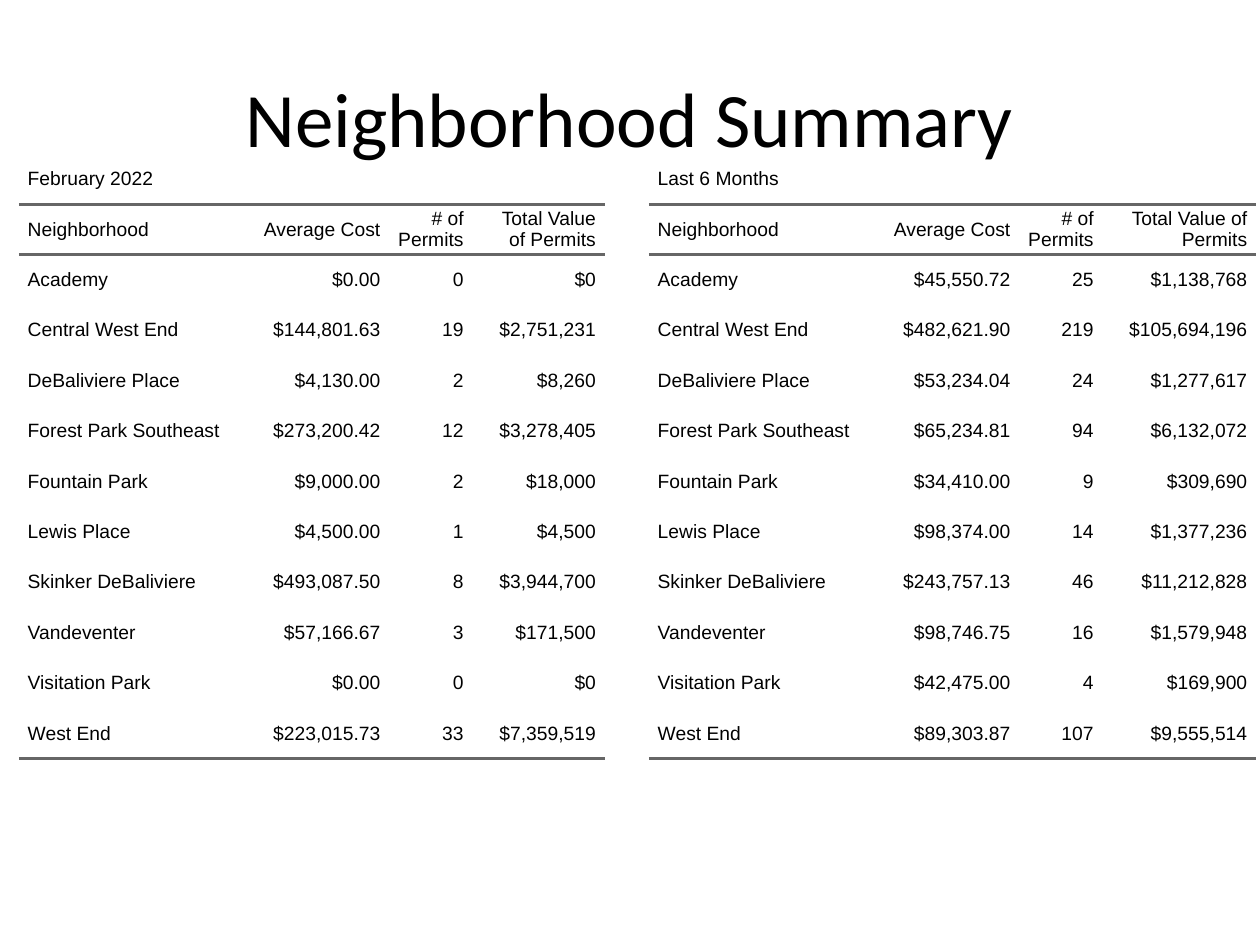
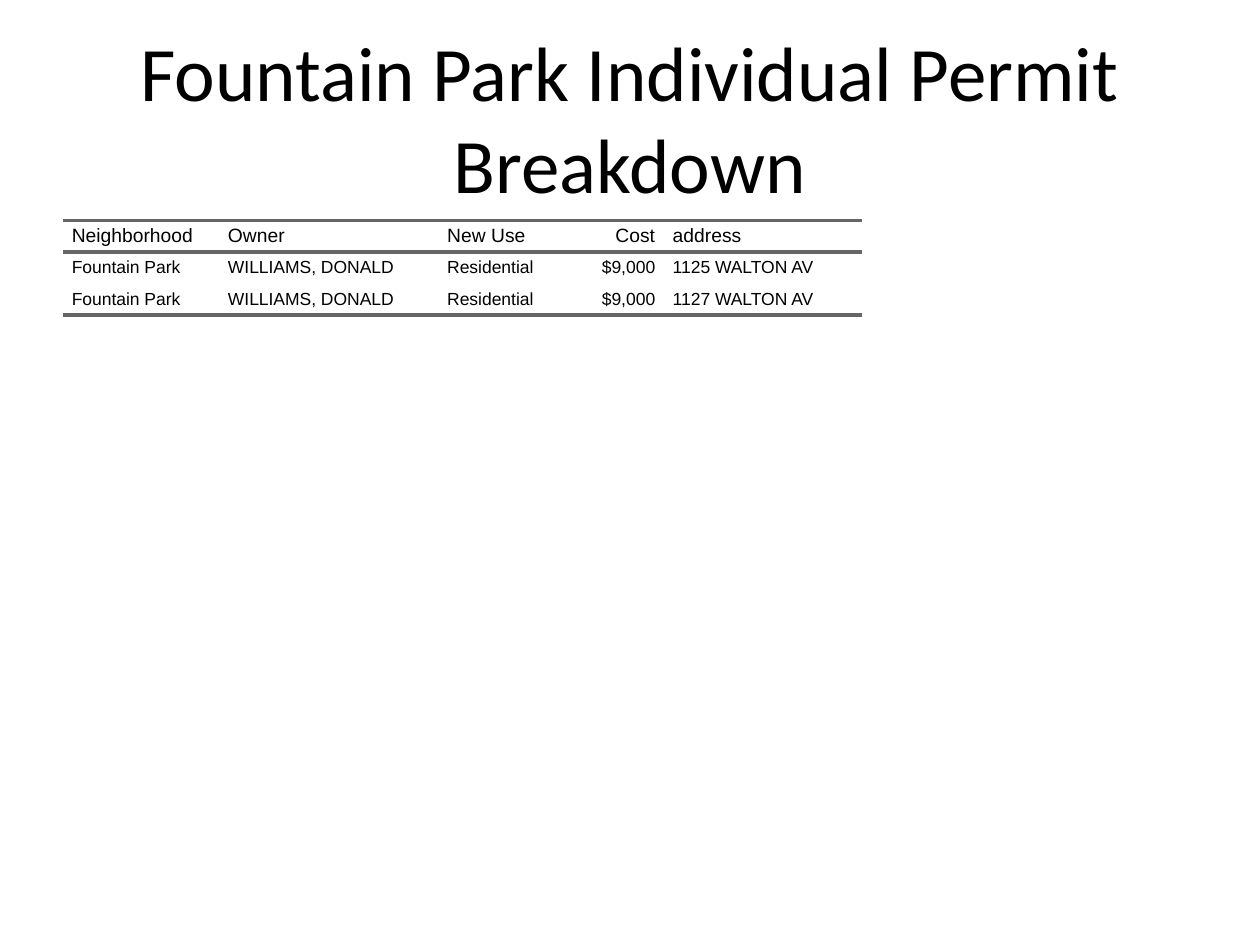
from lxml.etree import SubElement
from pptx import Presentation
from pptx.dml.color import RGBColor
from pptx.enum.text import MSO_ANCHOR, PP_ALIGN
from pptx.oxml.ns import qn
from pptx.util import Pt

PX = 9144  # EMU per px, 100 px to the inch
BLACK, RULE_COLOR = "000000", "666666"
TITLE_FONT, TABLE_FONT = "Calibri", "Arial"
RULE_WIDTH = Pt(2)
CELL_INSET = 7
PLAIN_TABLE_STYLE = "{2D5ABB26-0587-4C30-8999-92F81FD0307C}"


def format_paragraph(paragraph, font_name, size, alignment):
    paragraph.alignment = alignment
    for run in paragraph.runs:
        run.font.name = font_name
        run.font.size = Pt(size)
        run.font.color.rgb = RGBColor.from_string(BLACK)


def add_ruled_table(slide, left, top, widths, row_height, rows, header_row, body_size):
    """Add a table with rules around the header row and below the last row."""
    frame = slide.shapes.add_table(len(rows), len(widths), left * PX, top * PX,
                                   sum(widths) * PX, len(rows) * row_height * PX)
    table = frame.table
    table.first_row = table.horz_banding = False
    table._tbl.tblPr.find(qn("a:tableStyleId")).text = PLAIN_TABLE_STYLE
    for column, width in zip(table.columns, widths):
        column.width = width * PX
    for row_index, values in enumerate(rows):
        table.rows[row_index].height = row_height * PX
        rules = {header_row: ("a:lnT", "a:lnB"), len(rows) - 1: ("a:lnB",)}.get(row_index, ())
        for column_index, value in enumerate(values):
            cell = table.cell(row_index, column_index)
            cell.text_frame.text = value
            cell.vertical_anchor = MSO_ANCHOR.MIDDLE
            cell.margin_left = cell.margin_right = CELL_INSET * PX
            cell.margin_top = cell.margin_bottom = 0
            # Numeric columns are right aligned, header included
            is_numeric = rows[-1][column_index][0] == "$" or rows[-1][column_index].isdigit()
            format_paragraph(cell.text_frame.paragraphs[0], TABLE_FONT,
                             11 if row_index <= header_row else body_size,
                             PP_ALIGN.RIGHT if is_numeric and row_index >= header_row
                             else PP_ALIGN.LEFT)
            for rule in rules:
                line = SubElement(cell._tc.get_or_add_tcPr(), qn(rule), w=str(RULE_WIDTH))
                fill = SubElement(line, qn("a:solidFill"))
                SubElement(fill, qn("a:srgbClr"), val=RULE_COLOR)
            cell.fill.background()
    return table


presentation = Presentation()
presentation.slide_width = 1000 * PX
presentation.slide_height = 750 * PX

# Slides with their shared title style
slides = []
for title in ("Neighborhood Summary", "Fountain Park Individual Permit Breakdown"):
    slide = presentation.slides.add_slide(presentation.slide_layouts[6])
    title_box = slide.shapes.add_textbox(50 * PX, 30 * PX, 900 * PX, 125 * PX)
    text_frame = title_box.text_frame
    text_frame.word_wrap = True
    text_frame.vertical_anchor = MSO_ANCHOR.MIDDLE
    text_frame.text = title
    format_paragraph(text_frame.paragraphs[0], TITLE_FONT, 44, PP_ALIGN.CENTER)
    slides.append(slide)
summary_slide, breakdown_slide = slides

# Neighborhood summary: one table per period
neighborhoods = ["Academy", "Central West End", "DeBaliviere Place", "Forest Park Southeast",
                 "Fountain Park", "Lewis Place", "Skinker DeBaliviere", "Vandeventer",
                 "Visitation Park", "West End"]
summary_header = ("Neighborhood", "Average Cost", "# of Permits", "Total Value of Permits")
february = [
    ("$0.00", "0", "$0"),
    ("$144,801.63", "19", "$2,751,231"),
    ("$4,130.00", "2", "$8,260"),
    ("$273,200.42", "12", "$3,278,405"),
    ("$9,000.00", "2", "$18,000"),
    ("$4,500.00", "1", "$4,500"),
    ("$493,087.50", "8", "$3,944,700"),
    ("$57,166.67", "3", "$171,500"),
    ("$0.00", "0", "$0"),
    ("$223,015.73", "33", "$7,359,519"),
]
last_six_months = [
    ("$45,550.72", "25", "$1,138,768"),
    ("$482,621.90", "219", "$105,694,196"),
    ("$53,234.04", "24", "$1,277,617"),
    ("$65,234.81", "94", "$6,132,072"),
    ("$34,410.00", "9", "$309,690"),
    ("$98,374.00", "14", "$1,377,236"),
    ("$243,757.13", "46", "$11,212,828"),
    ("$98,746.75", "16", "$1,579,948"),
    ("$42,475.00", "4", "$169,900"),
    ("$89,303.87", "107", "$9,555,514"),
]
for period, left, value_width, figures in (("February 2022", 15, 105, february),
                                           ("Last 6 Months", 515, 122, last_six_months)):
    rows = [(period,), summary_header]
    rows += [(name, *values) for name, values in zip(neighborhoods, figures)]
    table = add_ruled_table(summary_slide, left, 122, (181, 113, 66, value_width), 40,
                            rows, header_row=1, body_size=11)
    table.cell(0, 0).merge(table.cell(0, 3))

# Fountain Park permits
permits = [("Neighborhood", "Owner", "New Use", "Cost", "address")]
permits += [("Fountain Park", "WILLIAMS, DONALD", "Residential", "$9,000", address)
            for address in ("1125 WALTON AV", "1127 WALTON AV")]
add_ruled_table(breakdown_slide, 50, 175, (124, 174, 104, 75, 157), 25,
                permits, header_row=0, body_size=10)

presentation.save("out.pptx")
